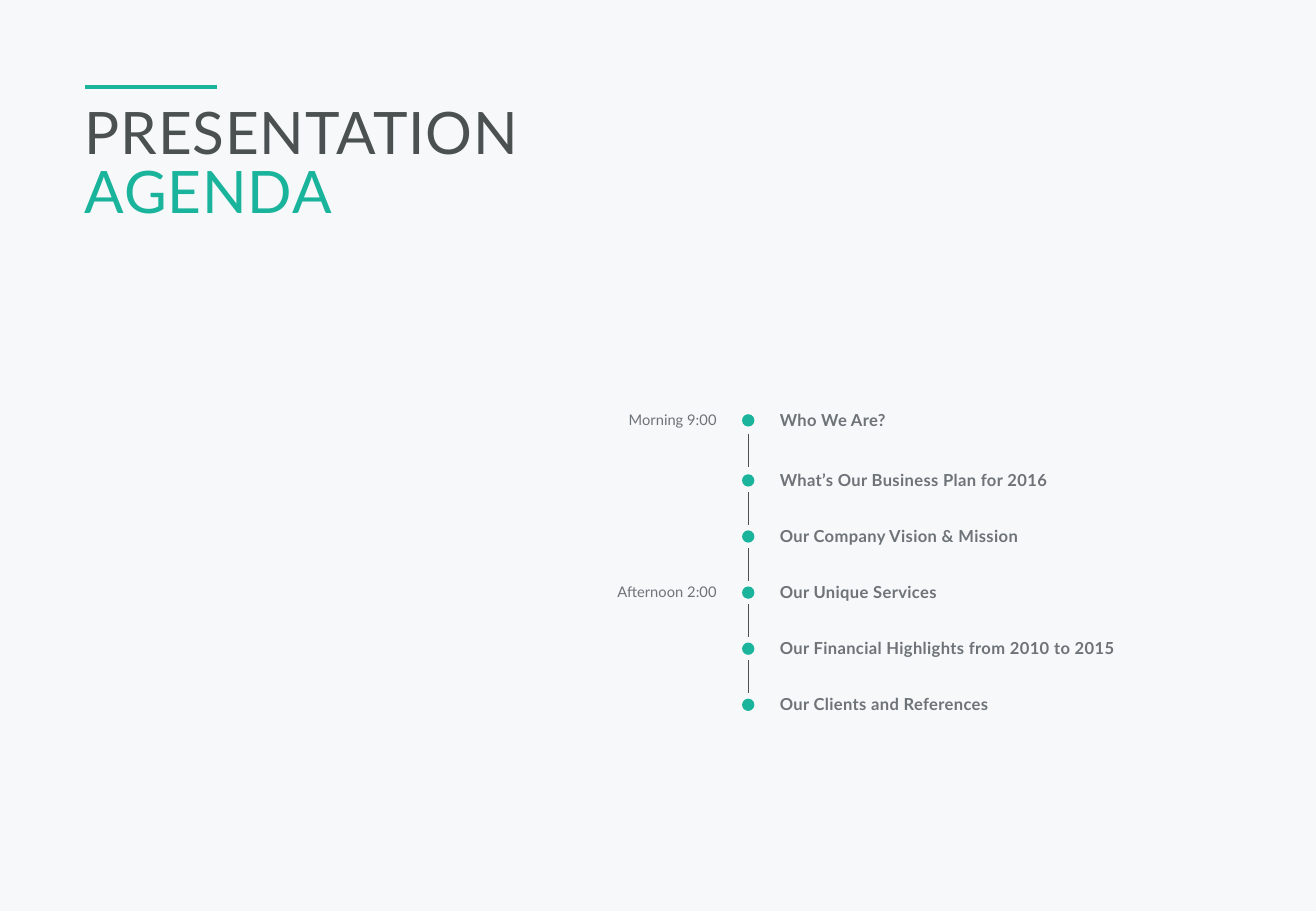
from pptx import Presentation
from pptx import util as u
from pptx.dml.color import RGBColor
from pptx.enum import shapes, text
from pptx.oxml import xmlchemy

Pt = u.Pt
COLORS = {"back": "F6F8FA", "teal": "19B49B", "dark": "4B5050", "grey": "6E7378"}

# Text formats
TITLE = {"size": Pt(34.7), "name": "Lato"}
TOPIC = {"size": Pt(9.8), "name": "Lato", "bold": True}
TIME = {"size": Pt(8.7), "name": "Lato"}
FRAME = {"margin_left": 0, "margin_right": 0, "margin_top": 0, "margin_bottom": 0,
         "word_wrap": True, "auto_size": text.MSO_AUTO_SIZE.SHAPE_TO_FIT_TEXT}

# Agenda content: time, topic
AGENDA = [
    ("Morning 9:00", "Who We Are?"),
    ("", "What’s Our Business Plan for 2016"),
    ("", "Our Company Vision & Mission"),
    ("Afternoon 2:00", "Our Unique Services"),
    ("", "Our Financial Highlights from 2010 to 2015"),
    ("", "Our Clients and References"),
]
AXIS_X = 443.5
DOT = 7.3
LINK = 19.8
FIRST_Y, SECOND_Y, STEP = 249.2, 284.8, 33.25


def rgb(name):
    return RGBColor.from_string(COLORS[name])


def apply(obj, values):
    for key, value in values.items():
        setattr(obj, key, value)


def add_text(s, box, lines, fmt, spacing=0, **para):
    """Place one paragraph for each (words, colour) pair."""
    tf = s.shapes.add_textbox(*map(Pt, box)).text_frame
    apply(tf, FRAME)
    for i, (words, color) in enumerate(lines):
        p = tf.add_paragraph() if i else tf.paragraphs[0]
        apply(p, para)
        r = p.add_run()
        r.text = words
        apply(r.font, fmt)
        r.font.color.rgb = rgb(color)
        if spacing:
            r._r.get_or_add_rPr().set("spc", str(round(spacing * 100)))


def add_line(s, x1, y1, x2, y2, color, width):
    sp = s.shapes.add_connector(shapes.MSO_CONNECTOR.STRAIGHT, *map(Pt, (x1, y1, x2, y2)))
    sp.line.color.rgb = rgb(color)
    sp.line.width = Pt(width)
    sp._element.spPr.append(xmlchemy.OxmlElement("a:effectLst"))


def add_dot(s, x, y):
    box = (x - DOT / 2, y - DOT / 2, DOT, DOT)
    sp = s.shapes.add_shape(shapes.MSO_SHAPE.OVAL, *map(Pt, box))
    sp.shadow.inherit = False
    sp.fill.solid()
    sp.fill.fore_color.rgb = rgb("teal")
    sp.line.fill.background()


def main():
    prs = Presentation()
    prs.slide_width, prs.slide_height = Pt(780), Pt(540)
    s = prs.slides.add_slide(prs.slide_layouts[6])
    s.background.fill.solid()
    s.background.fill.fore_color.rgb = rgb("back")

    # Title with accent rule
    add_line(s, 50.4, 51.8, 128.8, 51.8, "teal", 2.25)
    add_text(s, (50.4, 64.1, 679, 70.6), [("PRESENTATION", "dark"), ("AGENDA", "teal")],
             TITLE, 0.5, line_spacing=Pt(34.7))

    # Timeline rows
    centres = [FIRST_Y] + [SECOND_Y + STEP * i for i in range(len(AGENDA) - 1)]
    for y, (time, topic) in zip(centres, AGENDA):
        add_dot(s, AXIS_X, y)
        add_text(s, (462.2, y - 6.3, 267, 11.6), [(topic, "grey")], TOPIC, 0.2)
        if time:
            add_text(s, (344.2, y - 5.7, 80.6, 10.8), [(time, "grey")], TIME,
                     alignment=text.PP_ALIGN.RIGHT)

    # Links midway between neighbouring dots
    for above, below in zip(centres, centres[1:]):
        mid = (above + below) / 2
        add_line(s, AXIS_X, mid - LINK / 2, AXIS_X, mid + LINK / 2, "dark", 0.75)

    prs.save("out.pptx")


if __name__ == "__main__":
    main()
